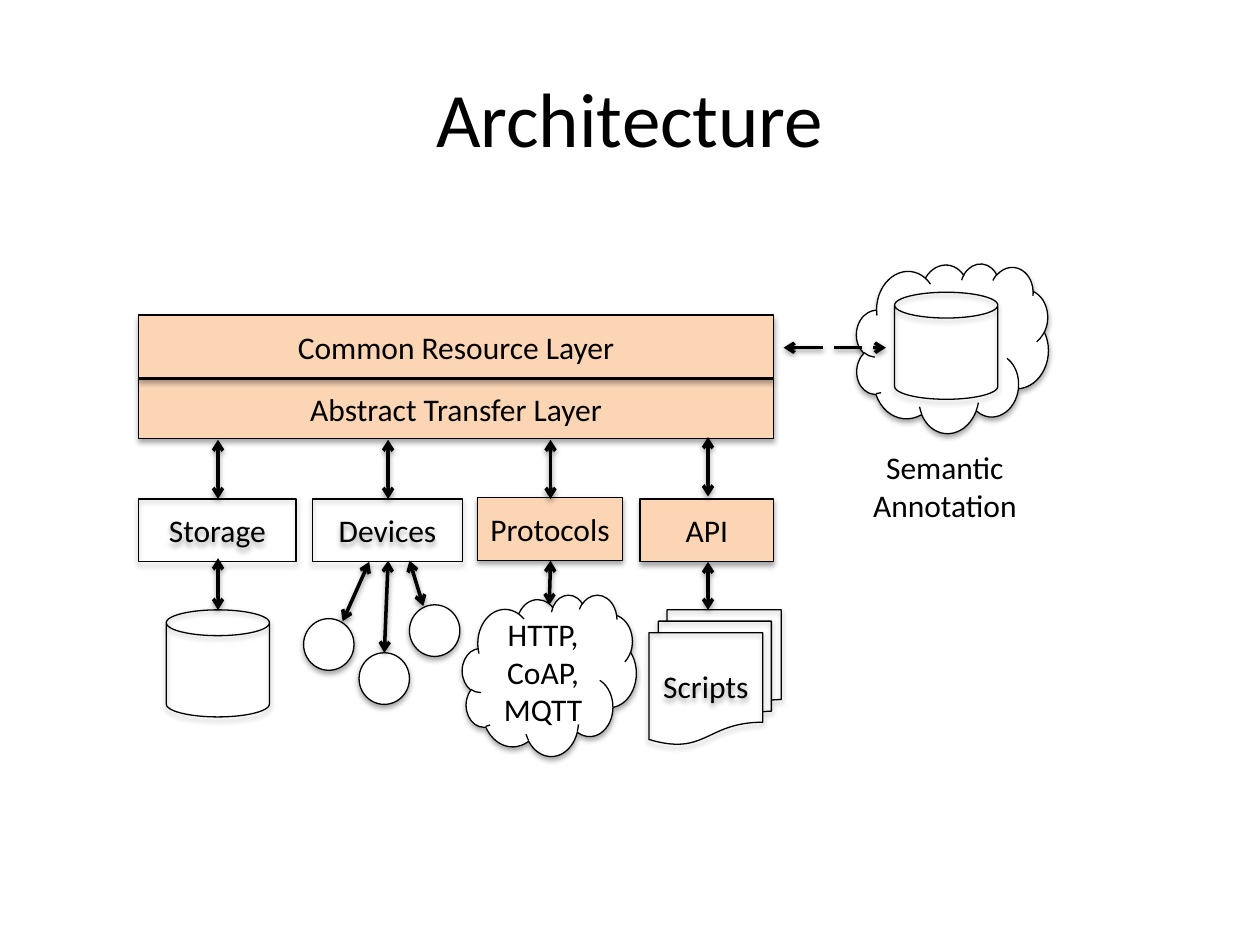
from typing import NamedTuple

from pptx import Presentation
from pptx import util as u
from pptx.dml.color import RGBColor
from pptx.enum import dml, shapes, text
from pptx.oxml import parse_xml
from pptx.oxml.ns import nsdecls, qn

FONT = "Calibri"
BLACK, WHITE, PEACH = "000000", "FFFFFF", "FCD5B5"
S = shapes.MSO_SHAPE


class Node(NamedTuple):
    kind: S
    left: float
    top: float
    width: float
    height: float
    fill: str | None = None
    label: str = ""
    rotation: float = 0


class Arrow(NamedTuple):
    x1: float
    y1: float
    x2: float
    y2: float
    dashed: bool = False


def rgb(color: str) -> RGBColor:
    return RGBColor.from_string(color)


def add_shadow(sp, alpha: int, distance: float) -> None:
    """Append a soft downward shadow; the line must be set already."""
    sp._element.spPr.append(parse_xml(
        f'<a:effectLst {nsdecls("a")}><a:outerShdw blurRad="{u.Pt(3.1)}" '
        f'dist="{u.Pt(distance)}" dir="5400000" rotWithShape="0">'
        f'<a:srgbClr val="{BLACK}"><a:alpha val="{alpha * 1000}"/></a:srgbClr>'
        '</a:outerShdw></a:effectLst>'))


def write(tf, content: str, size: float) -> None:
    tf.text = content
    tf.word_wrap = True
    p = tf.paragraphs[0]
    p.alignment = text.PP_ALIGN.CENTER
    p.font.name, p.font.size = FONT, u.Pt(size)
    p.font.color.rgb = rgb(BLACK)


def add_node(s, node: Node) -> None:
    sp = s.shapes.add_shape(node.kind, *map(u.Pt, node[1:5]))
    sp.rotation = node.rotation
    if node.fill:
        sp.fill.solid()
        sp.fill.fore_color.rgb = rgb(node.fill)
    else:
        sp.fill.background()
    sp.line.color.rgb = rgb(BLACK)
    sp.line.width = u.Pt(0.75)
    add_shadow(sp, 35, 1.8)
    if node.label:
        sp.text_frame.vertical_anchor = text.MSO_ANCHOR.MIDDLE
        write(sp.text_frame, node.label, 18)


def add_arrow(s, arrow: Arrow) -> None:
    """Draw a line with an open arrowhead at both ends."""
    sp = s.shapes.add_connector(shapes.MSO_CONNECTOR.STRAIGHT, *map(u.Pt, arrow[:4]))
    sp.line.color.rgb = rgb(BLACK)
    sp.line.width = u.Pt(2)
    if arrow.dashed:
        sp.line.dash_style = dml.MSO_LINE.LONG_DASH
    ln = sp._element.spPr.find(qn("a:ln"))
    for end in ("headEnd", "tailEnd"):
        ln.append(parse_xml(f'<a:{end} {nsdecls("a")} type="arrow"/>'))
    add_shadow(sp, 38, 1.6)


def can(left: float, top: float) -> Node:
    return Node(S.CAN, left, top, 59, 61.2)


def device(left: float, top: float) -> Node:
    return Node(S.OVAL, left, top, 28.8, 29.5, WHITE)


def layer(top: float, height: float, label: str) -> Node:
    return Node(S.RECTANGLE, 79.2, top, 362.9, height, PEACH, label)


def module(left: float, width: float, label: str, fill: str | None = None,
           top: float = 285.1) -> Node:
    return Node(S.RECTANGLE, left, top, width, 36, fill, label)


STORAGE_X, DEVICES_X, PROTOCOLS_X, API_X = 124.6, 221.8, 314.6, 404.6

ITEMS = [
    layer(216.7, 33.8, "Abstract Transfer Layer"),
    layer(180, 36, "Common Resource Layer"),
    module(272.9, 82.8, "Protocols", PEACH, 284.4),
    can(95, 348.5),
    device(173.5, 353.5),
    device(205.2, 373),
    device(234, 345.6),
    Arrow(211, 321.1, 195.8, 355),
    Arrow(DEVICES_X, 320.4, 219.6, 373),
    Arrow(234, 320.4, 241.9, 346.3),
    Arrow(STORAGE_X, 319, STORAGE_X, 348.5),
    Node(S.CLOUD, 264.2, 339.8, 99.4, 92.2, WHITE, "HTTP, CoAP, MQTT"),
    module(178.6, 85.7, "Devices"),
    module(79.2, 90, "Storage"),
    module(365.8, 76.3, "API", PEACH),
    Arrow(PROTOCOLS_X, 320.4, 313.9, 345.6),
    Node(S.FLOWCHART_MULTIDOCUMENT, 370.8, 348.5, 75.6, 77, None, "Scripts"),
    Arrow(API_X, 321.1, API_X, 348.5),
    Arrow(API_X, 249.8, API_X, 283.7),
    *(Arrow(x, 251.3, x, 285.1) for x in (PROTOCOLS_X, DEVICES_X, STORAGE_X)),
    Node(S.CLOUD, 488.9, 149, 110.2, 98.6, WHITE, rotation=6.2),
    can(511.2, 167),
    Arrow(447.8, 198.7, 506.2, 198.7, dashed=True),
]


def main() -> None:
    prs = Presentation()
    prs.slide_width, prs.slide_height = u.Pt(720), u.Pt(540)
    s = prs.slides.add_slide(prs.slide_layouts[5])

    title = s.shapes.title
    title.left, title.top, title.width, title.height = map(u.Pt, (36, 21.6, 648, 90))
    title.text_frame.vertical_anchor = text.MSO_ANCHOR.MIDDLE
    write(title.text_frame, "Architecture", 44)

    for item in ITEMS:
        if isinstance(item, Node):
            add_node(s, item)
        else:
            add_arrow(s, item)

    caption = s.shapes.add_textbox(*map(u.Pt, (483.8, 252.7, 112.3, 51.1)))
    write(caption.text_frame, "Semantic Annotation", 18)
    caption.text_frame.auto_size = text.MSO_AUTO_SIZE.SHAPE_TO_FIT_TEXT

    prs.save("out.pptx")


if __name__ == "__main__":
    main()
